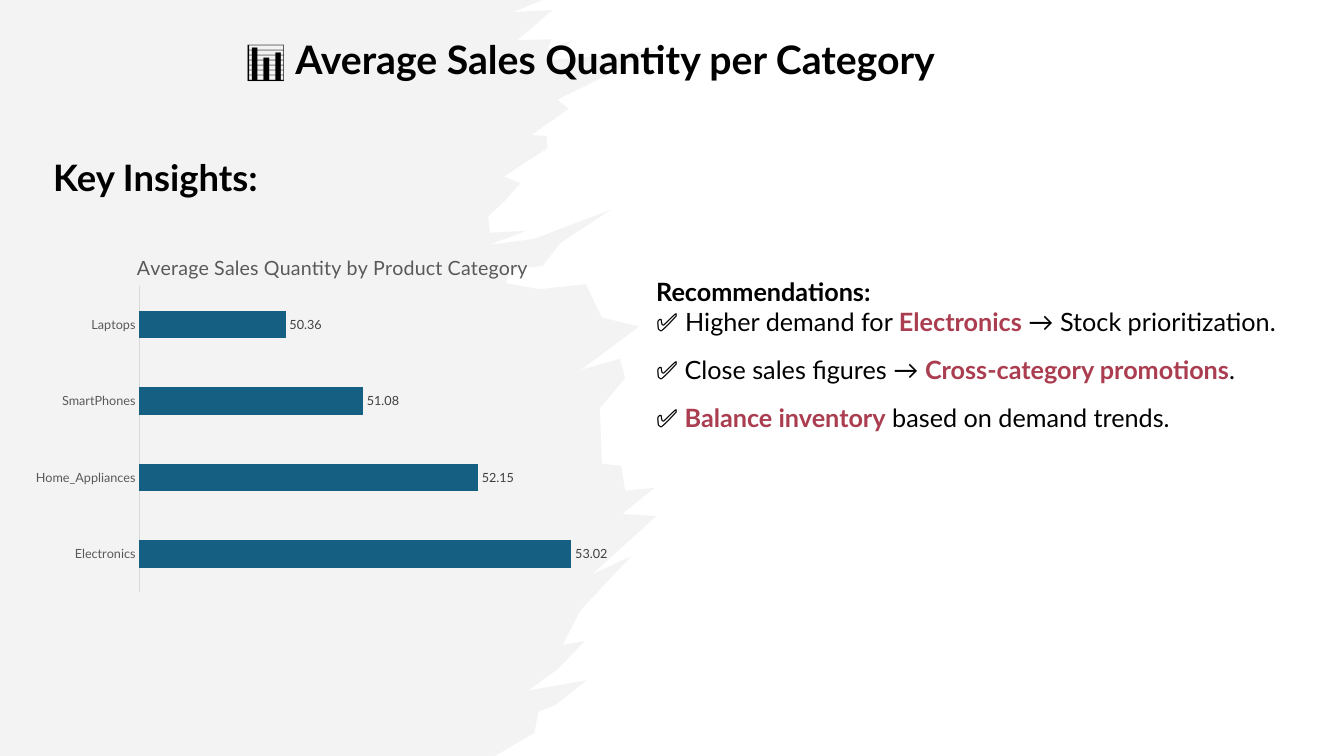
from lxml.etree import SubElement
from pptx import Presentation
from pptx.chart.data import CategoryChartData
from pptx.dml.color import RGBColor
from pptx.enum.chart import XL_CHART_TYPE, XL_LABEL_POSITION, XL_TICK_MARK
from pptx.enum.text import MSO_ANCHOR, MSO_AUTO_SIZE, PP_ALIGN
from pptx.oxml import parse_xml
from pptx.oxml.ns import nsdecls, qn
from pptx.util import Inches, Pt

BLACK = RGBColor(0x00, 0x00, 0x00)
WHITE = RGBColor(0xFF, 0xFF, 0xFF)
BRUSH_GREY = RGBColor(0xE8, 0xE8, 0xE8)
ACCENT_RED = RGBColor(0xAA, 0x3D, 0x4F)
BAR_BLUE = RGBColor(0x15, 0x60, 0x82)
AXIS_GREY = RGBColor(0xD9, 0xD9, 0xD9)
CAPTION_GREY = RGBColor(0x59, 0x59, 0x59)
LABEL_GREY = RGBColor(0x40, 0x40, 0x40)

AVERAGE_SALES = {"Electronics": 53.02, "Home_Appliances": 52.15,
                 "SmartPhones": 51.08, "Laptops": 50.36}

# Ragged right edge of the brush stroke, from bottom to top
BRUSH_EDGE = [
    (4.91, 7.5), (5.3, 7.27), (5.34, 7.06), (5.5, 7.0), (5.82, 6.75), (5.24, 6.85),
    (5.53, 6.64), (5.8, 6.36), (5.58, 6.4), (5.76, 6.05), (6.26, 5.52), (5.87, 5.7),
    (6.51, 5.12), (6.17, 5.1), (6.49, 4.84), (6.2, 4.87), (6.16, 4.62), (5.97, 4.6),
    (5.95, 4.05), (6.2, 3.75), (6.15, 3.56), (5.76, 3.67), (6.34, 3.24), (5.97, 3.15),
    (5.81, 2.82), (5.35, 2.87), (5.02, 2.81), (5.05, 2.67), (5.38, 2.64), (5.56, 2.41),
    (6.06, 2.08), (5.3, 2.37), (4.85, 2.43), (5.22, 2.29), (4.86, 2.31), (4.84, 2.15),
    (5.0, 2.0), (5.16, 1.82), (5.0, 1.75), (5.43, 1.47), (5.42, 1.35), (5.27, 1.34),
    (5.64, 1.08), (5.53, 0.99), (6.51, 0.5), (5.43, 0.6), (5.68, 0.4), (5.43, 0.49),
    (5.47, 0.39), (5.13, 0.4), (5.48, 0.1), (5.09, 0.12), (5.38, 0),
]


def set_layout(chart_part, **settings):
    """Give a chart title or plot area a manual layout, in fractions of the chart."""
    for old in chart_part.findall(qn("c:layout")):
        chart_part.remove(old)
    layout = parse_xml(f"<c:layout {nsdecls('c')}><c:manualLayout/></c:layout>")
    for tag, value in settings.items():
        SubElement(layout[0], qn(f"c:{tag}")).set("val", str(value))
    text = chart_part.find(qn("c:tx"))
    if text is None:
        chart_part.insert(0, layout)
    else:
        text.addnext(layout)


class SlideBuilder:
    font_name = "Lato"

    def __init__(self, slide):
        self.slide = slide
        background = slide.background.fill
        background.solid()
        background.fore_color.rgb = WHITE

    def style(self, font, size, color=BLACK, bold=False, name=None):
        font.name = name or self.font_name
        font.size, font.bold = Pt(size), bold
        font.color.rgb = color

    def add_run(self, paragraph, text, size, **style):
        run = paragraph.add_run()
        run.text = text
        self.style(run.font, size, **style)

    def title(self, left, top, width, height, icon, text):
        title = self.slide.shapes.title
        title.left, title.top = Inches(left), Inches(top)
        title.width, title.height = Inches(width), Inches(height)
        frame = title.text_frame
        frame.word_wrap, frame.vertical_anchor = True, MSO_ANCHOR.MIDDLE
        frame.auto_size = MSO_AUTO_SIZE.NONE
        heading = frame.paragraphs[0]
        heading.alignment, heading.line_spacing = PP_ALIGN.LEFT, 0.9
        heading.space_after = Pt(6)
        self.add_run(heading, icon, 28)
        self.add_run(heading, text, 28, bold=True)

    def brush(self, points):
        """Draw the half-transparent brush stroke behind the title."""
        outline = [(Inches(x), Inches(y)) for x, y in points]
        builder = self.slide.shapes.build_freeform(*outline[0])
        builder.add_line_segments(outline[1:], close=True)
        stroke = builder.convert_to_shape()
        stroke.shadow.inherit = False
        stroke.line.fill.background()
        stroke.fill.solid()
        stroke.fill.fore_color.rgb = BRUSH_GREY
        color = stroke.element.spPr.find(f"{qn('a:solidFill')}/{qn('a:srgbClr')}")
        SubElement(color, qn("a:alpha")).set("val", "50000")
        self.slide.shapes.title.element.addprevious(stroke.element)

    def text(self, left, top, width, height, lines, size, auto_size=MSO_AUTO_SIZE.NONE):
        """Add lines, each a space before in points and a list of (text, style) runs."""
        frame = self.slide.shapes.add_textbox(
            Inches(left), Inches(top), Inches(width), Inches(height)).text_frame
        frame.word_wrap, frame.auto_size = True, auto_size
        for i, (space_before, runs) in enumerate(lines):
            paragraph = frame.add_paragraph() if i else frame.paragraphs[0]
            paragraph.space_before = Pt(space_before)
            for text, style in runs:
                self.add_run(paragraph, text, size, **style)

    def bar_chart(self, left, top, width, height, caption, values):
        data = CategoryChartData()
        data.categories = list(values)
        data.add_series("Series 1", list(values.values()))
        chart = self.slide.shapes.add_chart(
            XL_CHART_TYPE.BAR_CLUSTERED, Inches(left), Inches(top),
            Inches(width), Inches(height), data).chart
        self.style(chart.font, 10)
        chart.has_legend = False
        chart.has_title = True
        self.add_run(chart.chart_title.text_frame.paragraphs[0], caption, 14, color=CAPTION_GREY)
        title_part = chart.chart_title.format.line and chart.element.find(f".//{qn('c:title')}") \
            if hasattr(chart, "element") else chart._chartSpace.find(f".//{qn('c:title')}")
        set_layout(title_part, xMode="edge", yMode="edge", x=0.18, y=0.05)
        set_layout(chart._chartSpace.find(f".//{qn('c:plotArea')}"), layoutTarget="inner",
                   xMode="edge", yMode="edge", x=0.19, y=0.15, w=0.79, h=0.83)

        categories = chart.category_axis
        categories.major_tick_mark = categories.minor_tick_mark = XL_TICK_MARK.NONE
        categories.format.line.color.rgb = AXIS_GREY
        categories.format.line.width = Pt(0.75)
        self.style(categories.tick_labels.font, 9, CAPTION_GREY)
        scale = chart.value_axis
        scale.minimum_scale, scale.maximum_scale = 49, 53.5
        scale.has_major_gridlines = scale.visible = False

        plot = chart.plots[0]
        plot.gap_width, plot.vary_by_categories = 182, False
        bars = plot.series[0]
        bars.format.fill.solid()
        bars.format.fill.fore_color.rgb = BAR_BLUE
        labels = bars.data_labels
        labels.show_value, labels.position = True, XL_LABEL_POSITION.OUTSIDE_END
        self.style(labels.font, 9, LABEL_GREY)


def main():
    deck = Presentation()
    deck.slide_width, deck.slide_height = Inches(13.33), Inches(7.5)
    page = SlideBuilder(deck.slides.add_slide(deck.slide_layouts[5]))
    page.brush([(0, 0), (0, 7.5)] + BRUSH_EDGE)
    page.title(2.34, 0.22, 8.36, 0.79, "📊 ", "Average Sales Quantity per Category")
    strong, accent = {"bold": True}, {"bold": True, "color": ACCENT_RED}
    page.text(0.43, 1.49, 5.4, 5.26, [(0, [("Key Insights:", strong)])], 26)
    page.bar_chart(0.23, 2.29, 6.07, 3.66,
                   "Average Sales Quantity by Product Category", AVERAGE_SALES)
    recommendations = [
        (0, [("Recommendations:", strong)]),
        (0, [("✅ ", {"name": "Arial"}), ("Higher demand for ", {}),
             ("Electronics", accent), (" → Stock prioritization.", {})]),
        (12.8, [("✅ Close sales figures → ", {}),
                ("Cross-category promotions", accent), (".", {})]),
        (12.8, [("✅ ", {}), ("Balance inventory", accent),
                (" based on demand trends.", {})]),
    ]
    page.text(6.41, 2.69, 6.67, 1.67, recommendations, 18, MSO_AUTO_SIZE.SHAPE_TO_FIT_TEXT)
    deck.save("out.pptx")


if __name__ == "__main__":
    main()
